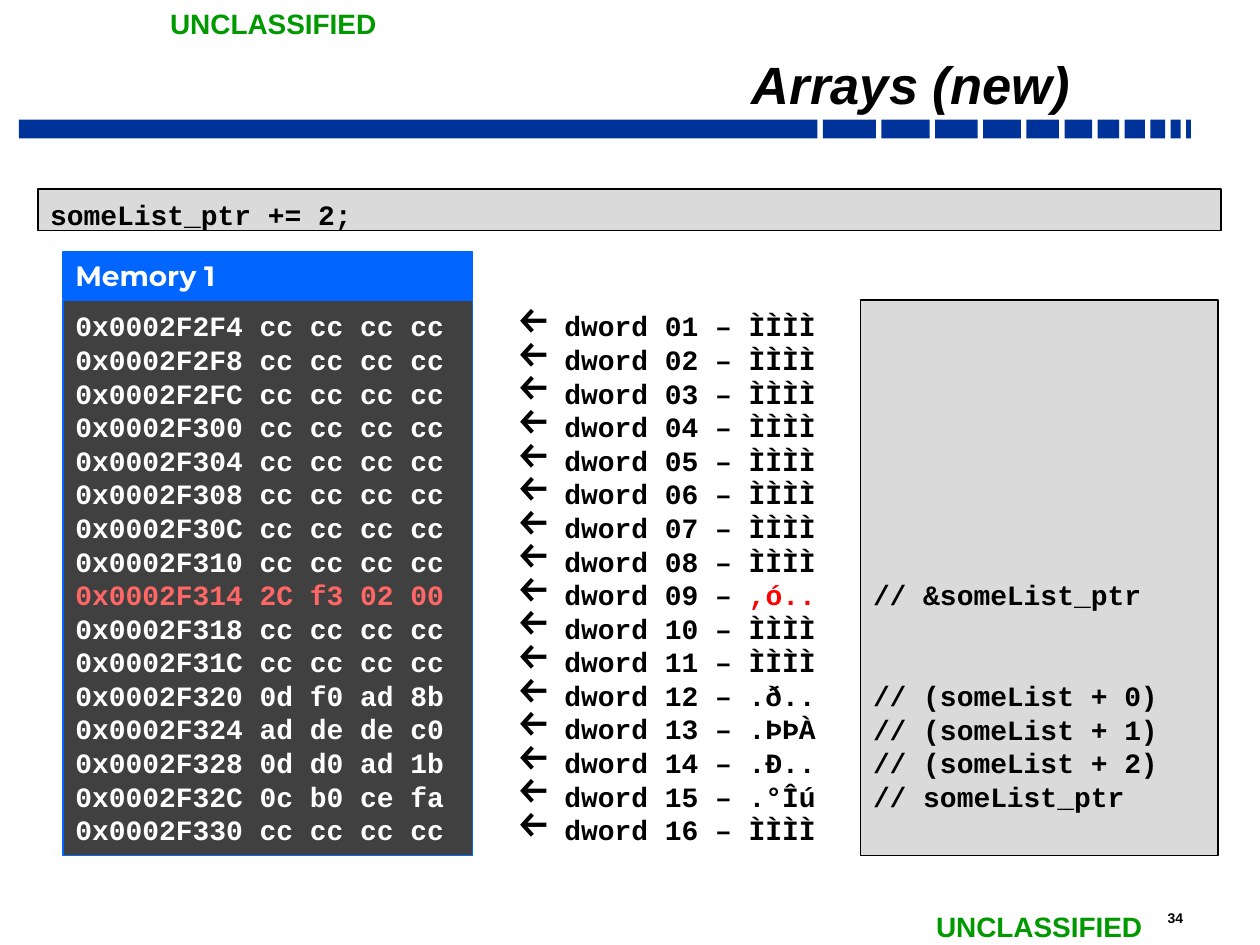
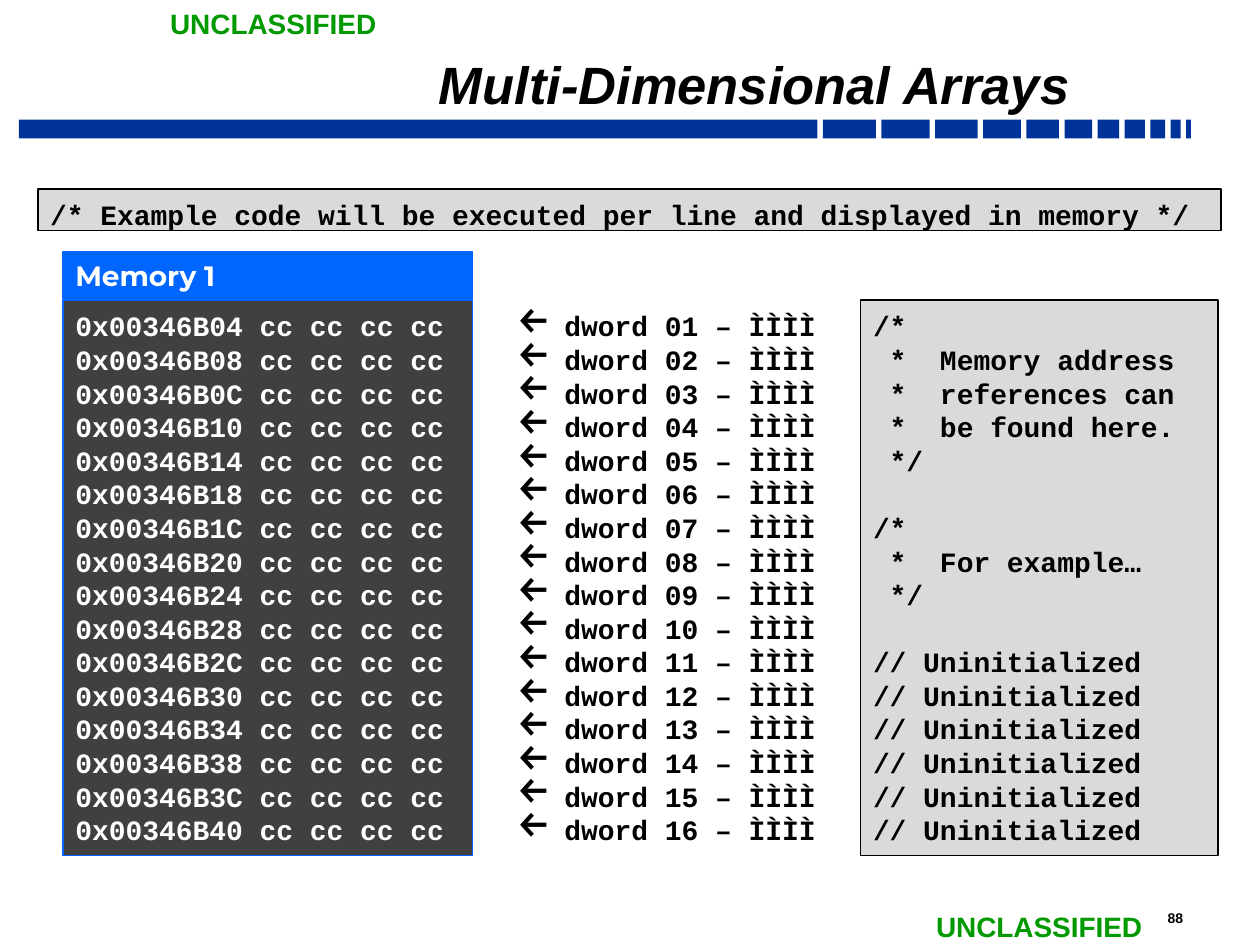
from lxml import etree
from pptx import Presentation
from pptx.dml.color import RGBColor
from pptx.enum.shapes import MSO_SHAPE
from pptx.enum.text import MSO_ANCHOR, MSO_AUTO_SIZE, PP_ALIGN
from pptx.oxml.ns import qn
from pptx.util import Cm, Pt

BLACK = RGBColor(0x00, 0x00, 0x00)
WHITE = RGBColor(0xFF, 0xFF, 0xFF)
NAVY = RGBColor(0x00, 0x33, 0x99)
BLUE = RGBColor(0x00, 0x66, 0xFF)
GREEN = RGBColor(0x00, 0x99, 0x00)
CHARCOAL = RGBColor(0x40, 0x40, 0x40)
SILVER = RGBColor(0xDA, 0xDA, 0xDA)
RED = RGBColor(0xFF, 0x00, 0x00)
CORAL = RGBColor(0xFF, 0x66, 0x66)

RECTANGLE = MSO_SHAPE.RECTANGLE
TOP, MIDDLE, BOTTOM = MSO_ANCHOR.TOP, MSO_ANCHOR.MIDDLE, MSO_ANCHOR.BOTTOM
LEFT, RIGHT = PP_ALIGN.LEFT, PP_ALIGN.RIGHT
NO_AUTOFIT = MSO_AUTO_SIZE.NONE

SANS, CODE, HEADING = "Arial", "Courier New", "Montserrat"
TITLE_ONLY = 5
MARKING = "UNCLASSIFIED"
BAND_WIDTHS = (16.1, 1.07, 0.97, 0.86, 0.76, 0.66, 0.56, 0.43, 0.41, 0.3, 0.2, 0.1)
BAND_GAP = 0.11
ROW_PITCH = Pt(19.2)
ROWS_TOP, ROWS_HEIGHT, ROWS_INSET = 6.05, 11.2, Cm(0.18)
UNSET = ("cc cc cc cc", "ÌÌÌÌ")

SLIDES = (
    {
        "title": "Arrays (new)",
        "number": "34",
        "code": "someList_ptr += 2;",
        "address": 0x0002F2F4,
        "words": [UNSET] * 8 + [("2C f3 02 00", ",ó..")] + [UNSET] * 2 + [
            ("0d f0 ad 8b", ".ð.."),
            ("ad de de c0", ".ÞÞÀ"),
            ("0d d0 ad 1b", ".Ð.."),
            ("0c b0 ce fa", ".°Îú"),
            UNSET,
        ],
        "changed": 8,
        "remarks": {
            8: "// &someList_ptr",
            11: "// (someList + 0)",
            12: "// (someList + 1)",
            13: "// (someList + 2)",
            14: "// someList_ptr",
        },
    },
    {
        "title": "Multi-Dimensional Arrays",
        "number": "88",
        "code": "/* Example code will be executed per line and displayed in memory */",
        "address": 0x00346B04,
        "words": [UNSET] * 16,
        "changed": None,
        "remarks": {
            0: "/*",
            1: " *  Memory address",
            2: " *  references can",
            3: " *  be found here.",
            4: " */",
            6: "/*",
            7: " *  For example…",
            8: " */",
            **{row: "// Uninitialized" for row in range(10, 16)},
        },
    },
)


def write(para, text, font=CODE, size=16, color=BLACK, italic=False):
    span = para.add_run()
    span.text = text
    span.font.name = font
    span.font.size = Pt(size)
    span.font.bold = True
    span.font.italic = italic
    span.font.color.rgb = color


def add_arrow_bullet(para):
    properties = para._p.get_or_add_pPr()
    properties.set("marL", str(Cm(0.97)))
    properties.set("indent", str(-Cm(0.97)))
    color = etree.SubElement(properties, qn("a:buClr"))
    etree.SubElement(color, qn("a:srgbClr"), val=str(BLACK))
    etree.SubElement(properties, qn("a:buSzPct"), val="150000")
    etree.SubElement(properties, qn("a:buChar"), char="←")


class MemoryDeck:
    def __init__(self):
        self.deck = Presentation()
        self.deck.slide_width = Cm(25.4)
        self.deck.slide_height = Cm(19.05)
        self.page = None

    def frame(self, box, anchor=TOP, top=Cm(0.13), bottom=Cm(0.13), wrap=True):
        frame = box.text_frame
        frame.auto_size = NO_AUTOFIT
        frame.word_wrap = wrap
        frame.vertical_anchor = anchor
        frame.margin_left = frame.margin_right = Cm(0.25)
        frame.margin_top, frame.margin_bottom = top, bottom
        frame.paragraphs[0].alignment = LEFT
        return frame

    def rectangle(self, left, top, width, height, fill, line=None, weight=1):
        box = self.page.shapes.add_shape(
            RECTANGLE, Cm(left), Cm(top), Cm(width), Cm(height))
        box.shadow.inherit = False
        box.fill.solid()
        box.fill.fore_color.rgb = fill
        if line is None:
            box.line.fill.background()
        else:
            box.line.color.rgb = line
            box.line.width = Pt(weight)
        return box

    def textbox(self, left, top, width, height):
        return self.page.shapes.add_textbox(
            Cm(left), Cm(top), Cm(width), Cm(height))

    def label(self, text, left, top, width, height, **style):
        frame = self.frame(self.textbox(left, top, width, height), wrap=False)
        write(frame.paragraphs[0], text, font=SANS, **style)

    def title(self, text):
        box = self.page.shapes.title
        box.left, box.top, box.width, box.height = Cm(4.24), Cm(0.89), Cm(17.58), Cm(1.5)
        para = self.frame(box, BOTTOM, Cm(0.1), Cm(0.1)).paragraphs[0]
        para.alignment = RIGHT
        para.line_spacing = 0.7
        write(para, text, font=SANS, size=30, italic=True)

    def band(self):
        left = 0.38
        for width in BAND_WIDTHS:
            self.rectangle(left, 2.41, width, 0.38, NAVY)
            left += width + BAND_GAP

    def new_page(self, title, number):
        layout = self.deck.slide_layouts[TITLE_ONLY]
        self.page = self.deck.slides.add_slide(layout)
        self.band()
        self.label(number, 23.29, 18.21, 1.37, 0.58, size=8)
        self.label(MARKING, 3.18, 0, 4.72, 0.94, color=GREEN)
        self.label(MARKING, 18.62, 18.21, 4.72, 0.94, color=GREEN)
        self.title(title)

    def code_line(self, text):
        box = self.rectangle(0.76, 3.81, 23.85, 0.84, SILVER, BLACK)
        frame = self.frame(box, MIDDLE, Cm(0.18), 0)
        write(frame.paragraphs[0], text)

    def rows(self, box, lines, bullets=False):
        frame = self.frame(box, top=ROWS_INSET, bottom=0)
        for index, spans in enumerate(lines):
            para = frame.add_paragraph() if index else frame.paragraphs[0]
            para.alignment = LEFT
            para.line_spacing = ROW_PITCH
            if bullets:
                add_arrow_bullet(para)
            for text, color in spans:
                write(para, text, color=color)
        return frame

    def memory(self, address, words, changed):
        header = self.rectangle(1.27, 5.08, 8.26, 0.94, BLUE, BLUE, 0.75)
        write(self.frame(header, MIDDLE).paragraphs[0], "Memory 1",
              font=HEADING, color=WHITE)
        dump = [
            [(f"0x{address + 4 * row:08X} {data}", CORAL if row == changed else WHITE)]
            for row, (data, _) in enumerate(words)
        ]
        body = self.rectangle(1.27, ROWS_TOP, 8.26, ROWS_HEIGHT, CHARCOAL, BLUE, 0.75)
        self.rows(body, dump)

    def dwords(self, words, changed):
        lines = [
            [(f"dword {row + 1:02} – ", BLACK), (letters, RED if row == changed else BLACK)]
            for row, (_, letters) in enumerate(words)
        ]
        self.rows(self.textbox(10.16, ROWS_TOP, 14.43, ROWS_HEIGHT), lines, bullets=True)

    def remarks(self, remarks):
        box = self.rectangle(17.35, ROWS_TOP, 7.21, ROWS_HEIGHT, SILVER, BLACK)
        frame = self.rows(box, [[(text, BLACK)] for text in remarks.values()])
        positions = list(remarks)
        frame.margin_top = ROWS_INSET + positions[0] * ROW_PITCH
        for para, before, row in zip(frame.paragraphs[1:], positions, positions[1:]):
            para.space_before = (row - before - 1) * ROW_PITCH


def main():
    builder = MemoryDeck()
    for slide in SLIDES:
        builder.new_page(slide["title"], slide["number"])
        builder.memory(slide["address"], slide["words"], slide["changed"])
        builder.dwords(slide["words"], slide["changed"])
        builder.code_line(slide["code"])
        builder.remarks(slide["remarks"])
    builder.deck.save("out.pptx")


if __name__ == "__main__":
    main()
